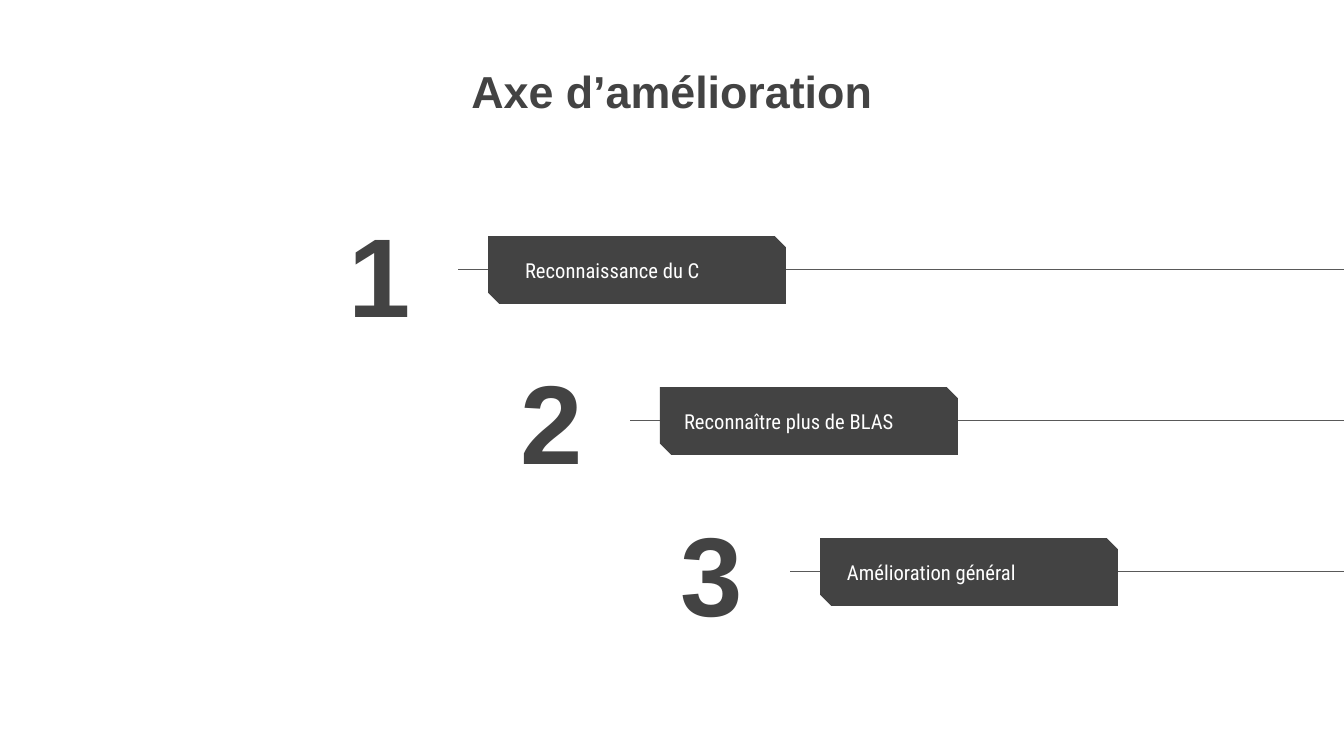
from dataclasses import dataclass

import pptx
import pptx.dml.color
import pptx.enum.shapes
import pptx.enum.text
import pptx.oxml.ns
import pptx.util
from lxml import etree

EMU_PER_PX = 914400 / 100.8
SLIDE_WIDTH, SLIDE_HEIGHT = 1344, 756
ROW_TOP, ROW_PITCH, ROW_HEIGHT = 236, 151, 68

ROWS = [
    dict(label="Reconnaissance du C", left=488, indent=24, number_rise=19),
    dict(label="Reconnaître plus de BLAS", left=660, indent=11, number_rise=23),
    dict(label="Amélioration général", left=820, indent=14, number_rise=22),
]


@dataclass(frozen=True)
class Theme:
    """Colours, fonts and type sizes of the slide."""
    dark: str = "434343"
    rule: str = "595959"
    light: str = "FFFFFF"
    heading_font: str = "Arial"
    label_font: str = "Roboto Condensed"
    title_size: float = 32
    number_size: float = 80
    label_size: float = 14.7
    rule_width: float = 0.75
    inset: int = 13


THEME = Theme()
ALIGN = pptx.enum.text.PP_ALIGN
ANCHOR = pptx.enum.text.MSO_ANCHOR


def px(length):
    """Turn a length in px into EMU."""
    return pptx.util.Emu(round(length * EMU_PER_PX))


def color(value):
    """Turn a hexadecimal colour into an RGBColor."""
    return pptx.dml.color.RGBColor.from_string(value)


def write_text(shape, text, *, size, font=THEME.heading_font, fill=THEME.dark,
               bold=False, align=ALIGN.LEFT, anchor=ANCHOR.MIDDLE):
    """Write one formatted paragraph into a shape."""
    frame = shape.text_frame
    frame.word_wrap = True
    frame.auto_size = pptx.enum.text.MSO_AUTO_SIZE.NONE
    frame.vertical_anchor = anchor
    frame.margin_left = frame.margin_right = px(THEME.inset)
    frame.margin_top = frame.margin_bottom = px(THEME.inset)
    paragraph = frame.paragraphs[0]
    paragraph.alignment = align
    run = paragraph.add_run()
    run.text = text
    run.font.name = font
    run.font.size = pptx.util.Pt(size)
    run.font.bold = bold
    run.font.color.rgb = color(fill)


def add_title(slide, text, left, top, width, height):
    """Place the slide title in the given box."""
    title = slide.shapes.title
    title.left, title.top = px(left), px(top)
    title.width, title.height = px(width), px(height)
    write_text(title, text, size=THEME.title_size, bold=True,
               align=ALIGN.CENTER, anchor=ANCHOR.TOP)


def add_rule(slide, left, right, y):
    """Draw a thin horizontal line from right to left."""
    rule = slide.shapes.add_connector(
        pptx.enum.shapes.MSO_CONNECTOR.STRAIGHT, px(right), px(y), px(left), px(y))
    rule.line.color.rgb = color(THEME.rule)
    rule.line.width = pptx.util.Pt(THEME.rule_width)
    etree.SubElement(rule._element.spPr, pptx.oxml.ns.qn("a:effectLst"))


def add_bar(slide, left, top, width, height):
    """Draw a dark bar with two snipped corners."""
    bar = slide.shapes.add_shape(
        pptx.enum.shapes.MSO_SHAPE.SNIP_2_DIAG_RECTANGLE,
        px(left), px(top), px(width), px(height))
    bar.adjustments[0], bar.adjustments[1] = 0, 0.167
    bar.shadow.inherit = False
    bar.fill.solid()
    bar.fill.fore_color.rgb = color(THEME.dark)
    bar.line.fill.background()


def add_row(slide, number, label, left, top, width, height, indent, number_rise):
    """Place a numbered bar with its label and the line behind it."""
    add_rule(slide, left - 30, SLIDE_WIDTH, top + height / 2)
    number_width = 264
    number_box = slide.shapes.add_textbox(
        px(left - 64 - number_width), px(top - number_rise), px(number_width), px(111))
    write_text(number_box, str(number), size=THEME.number_size, bold=True,
               align=ALIGN.RIGHT)
    add_bar(slide, left, top, width, height)
    label_box = slide.shapes.add_textbox(
        px(left + indent), px(top + 9), px(480), px(height - 18))
    write_text(label_box, label, size=THEME.label_size, font=THEME.label_font,
               fill=THEME.light)


def main():
    """Build the slide and save it."""
    presentation = pptx.Presentation()
    presentation.slide_width = px(SLIDE_WIDTH)
    presentation.slide_height = px(SLIDE_HEIGHT)
    slide = presentation.slides.add_slide(
        presentation.slide_layouts.get_by_name("Title Only"))
    add_title(slide, "Axe d’amélioration", left=289, top=51, width=766, height=139)
    for index, row in enumerate(ROWS):
        add_row(slide, index + 1, top=ROW_TOP + index * ROW_PITCH,
                width=298, height=ROW_HEIGHT, **row)
    presentation.save("out.pptx")


if __name__ == "__main__":
    main()
